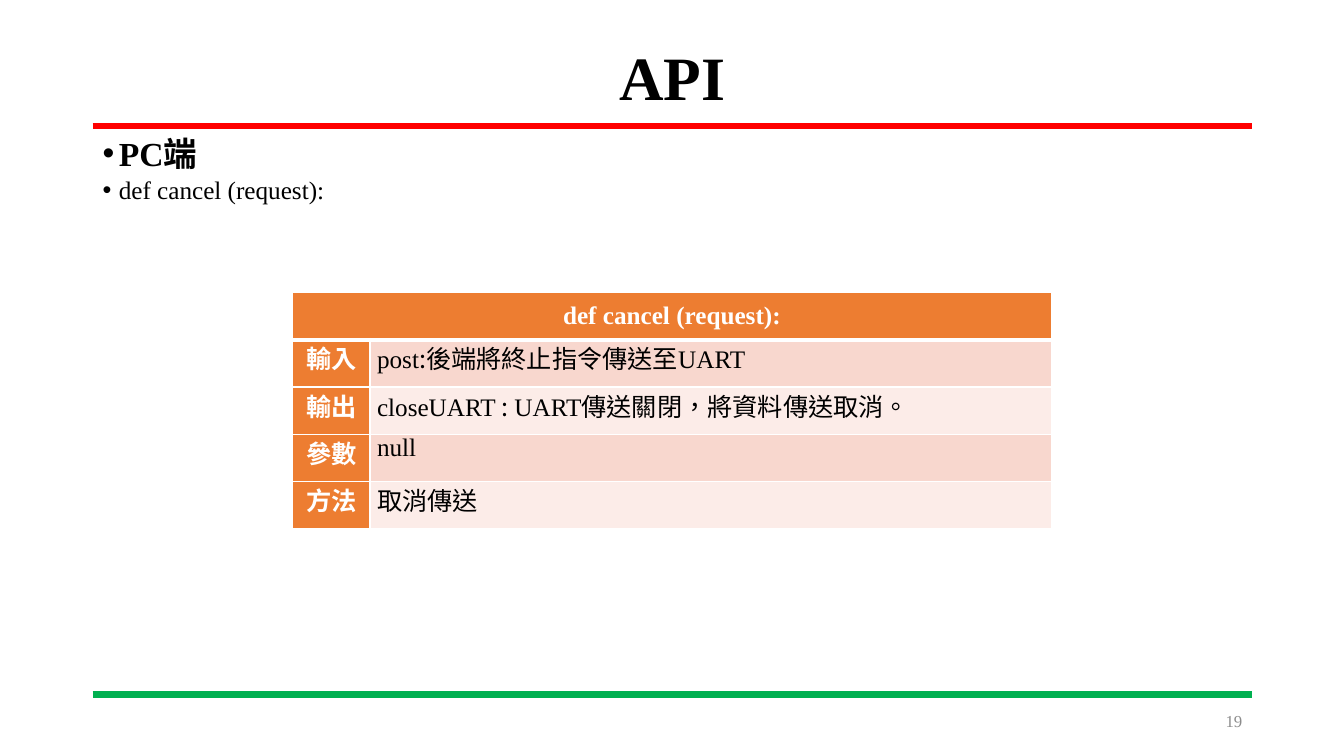
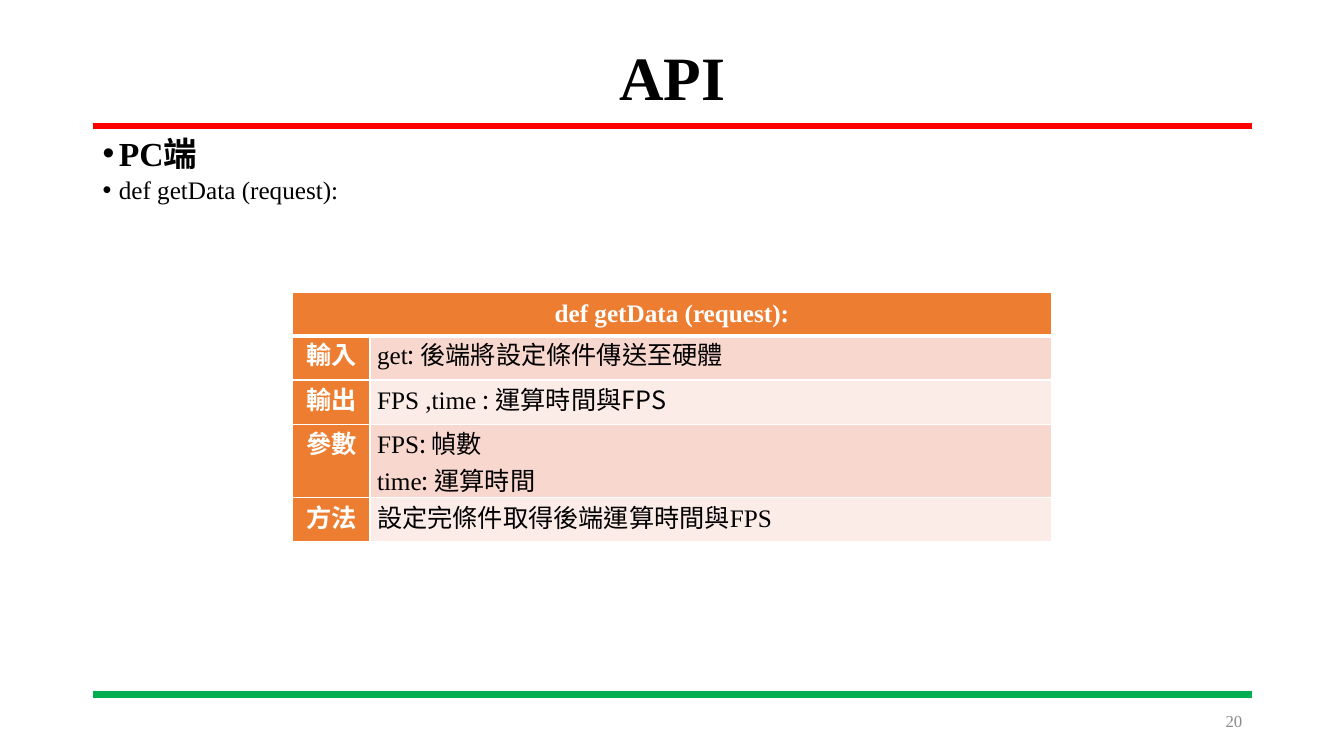
from lxml.etree import SubElement
from pptx import Presentation
from pptx.dml.color import RGBColor
from pptx.enum.lang import MSO_LANGUAGE_ID as Lang
from pptx.enum.shapes import MSO_CONNECTOR as Connector
from pptx.enum.text import MSO_ANCHOR as Anchor, PP_ALIGN as Align
from pptx.oxml.ns import qn
from pptx.util import Inches, Pt

LATIN, CJK = "Times New Roman", "Noto Sans CJK SC"
BLACK, WHITE, GRAY = "000000", "FFFFFF", "8C8C8C"
RED, GREEN, ORANGE = "FF0000", "00B050", "ED7D31"
BANDS = ("F8D7CE", "FCECE8")
LEFT, WIDTH = 0.92, 11.5
LABELS = ("輸入", "輸出", "參數", "方法")


def rgb(value):
    return RGBColor.from_string(value)


def apply(target, values):
    for name, value in values.items():
        setattr(target, name, value)


class Deck:
    def __init__(self):
        self.prs = Presentation()
        apply(self.prs, {"slide_width": Inches(13.33), "slide_height": Inches(7.5)})
        self.slide = None

    def new_slide(self, title, number):
        self.slide = self.prs.slides.add_slide(self.prs.slide_layouts[6])
        self.rule(1.25, RED)
        self.rule(6.89, GREEN)
        self.text((LEFT, 0.4, WIDTH, 0.79), [title], size=44, bold=True,
                  anchor=Anchor.MIDDLE, align=Align.CENTER, line_spacing=0.9)
        self.text((9.42, 6.95, 3, 0.4), [str(number)], size=12, color=GRAY,
                  anchor=Anchor.MIDDLE, align=Align.RIGHT)

    def rule(self, y, color):
        line = self.slide.shapes.add_connector(
            Connector.STRAIGHT, Inches(LEFT), Inches(y), Inches(LEFT + WIDTH), Inches(y))
        line.line.color.rgb = rgb(color)
        line.line.width = Pt(4.5)
        SubElement(line._element.spPr, qn("a:effectLst"))

    def run(self, paragraph, text, font=LATIN, size=18, bold=False, color=BLACK):
        run = paragraph.add_run()
        run.text = text
        apply(run.font, {"name": font, "size": Pt(size), "bold": bold,
                         "language_id": Lang.TRADITIONAL_CHINESE})
        run.font.color.rgb = rgb(color)
        SubElement(run.font._element, qn("a:ea"), typeface=CJK)

    def paragraphs(self, frame, count):
        while len(frame.paragraphs) < count:
            frame.add_paragraph()
        return frame.paragraphs

    def text(self, box, lines, anchor=Anchor.TOP, align=Align.LEFT,
             line_spacing=1.0, **font):
        frame = self.slide.shapes.add_textbox(*map(Inches, box)).text_frame
        apply(frame, {"word_wrap": True, "vertical_anchor": anchor})
        for paragraph, line in zip(self.paragraphs(frame, len(lines)), lines):
            apply(paragraph, {"alignment": align, "line_spacing": line_spacing})
            self.run(paragraph, line, **font)
        return frame

    def bullets(self, heading, signature):
        frame = self.text((LEFT, 1.31, WIDTH, 5.51), [heading, signature], line_spacing=0.9)
        apply(frame.paragraphs[0].runs[0].font, {"size": Pt(24), "bold": True})
        for paragraph in frame.paragraphs:
            paragraph.space_before = Pt(3)
            props = paragraph._p.get_or_add_pPr()
            props.set("marL", str(Inches(0.16)))
            props.set("indent", str(-Inches(0.16)))
            SubElement(props, qn("a:buFont"), typeface="Arial")
            SubElement(props, qn("a:buChar"), char="•")

    def cell(self, cell, lines, fill, top=1, bottom=1, align=Align.LEFT,
             anchor=Anchor.TOP, **font):
        # Borders come before the fill in the cell properties
        props = cell._tc.get_or_add_tcPr()
        for side, width in (("L", 1), ("R", 1), ("T", top), ("B", bottom)):
            border = SubElement(props, qn("a:ln" + side), w=str(Pt(width)))
            SubElement(SubElement(border, qn("a:solidFill")), qn("a:srgbClr"), val=WHITE)
        cell.fill.solid()
        cell.fill.fore_color.rgb = rgb(fill)
        apply(cell, {"margin_left": Inches(0.07), "margin_right": Inches(0.07),
                     "margin_top": 0, "margin_bottom": 0, "vertical_anchor": anchor})
        for paragraph, runs in zip(self.paragraphs(cell.text_frame, len(lines)), lines):
            paragraph.alignment = align
            for face, text in runs:
                self.run(paragraph, text, face, **font)

    def api_table(self, signature, details, heights):
        table = self.slide.shapes.add_table(
            len(heights), 2, Inches(2.9), Inches(2.9), Inches(7.53),
            Inches(sum(heights))).table
        apply(table, {"first_row": False, "horz_banding": False})
        for column, width in zip(table.columns, (0.77, 6.76)):
            column.width = Inches(width)
        for row, height in zip(table.rows, heights):
            row.height = Inches(height)
        # Header across both columns
        heading = {"fill": ORANGE, "align": Align.CENTER, "bold": True, "color": WHITE}
        table.cell(0, 0).merge(table.cell(0, 1))
        self.cell(table.cell(0, 0), [[(LATIN, signature)]], bottom=3,
                  anchor=Anchor.MIDDLE, **heading)
        self.cell(table.cell(0, 1), [], ORANGE, bottom=3)
        # Label and detail rows
        for i, (label, lines) in enumerate(zip(LABELS, details), 1):
            top = 3 if i == 1 else 1
            self.cell(table.cell(i, 0), [[(CJK, label)]], top=top, **heading)
            self.cell(table.cell(i, 1), lines, BANDS[(i - 1) % 2], top=top)


# Each detail is a list of lines; each line is a list of (font, text) runs
CALLS = [
    ("def cancel (request):", [
        [[(LATIN, "post"), (CJK, ":後端將終止指令傳送至"), (LATIN, "UART")]],
        [[(LATIN, "closeUART "), (CJK, ": "), (LATIN, "UART"),
          (CJK, "傳送關閉，將資料傳送取消。")]],
        [[(LATIN, "null")]],
        [[(CJK, "取消傳送")]],
    ], [0.47] * 5),
    ("def getData (request):", [
        [[(LATIN, "get"), (CJK, ": 後端將設定條件傳送至硬體")]],
        [[(LATIN, "FPS ,time "), (CJK, ": 運算時間與FPS")]],
        [[(LATIN, "FPS"), (CJK, ": 幀數")], [(LATIN, "time"), (CJK, ": 運算時間")]],
        [[(CJK, "設定完條件取得後端運算時間與"), (LATIN, "FPS")]],
    ], [0.43, 0.44, 0.44, 0.73, 0.43]),
]


def main():
    deck = Deck()
    for number, (signature, details, heights) in enumerate(CALLS, 19):
        deck.new_slide("API", number)
        deck.bullets("PC端", signature)
        deck.api_table(signature, details, heights)
    deck.prs.save("out.pptx")


if __name__ == "__main__":
    main()
